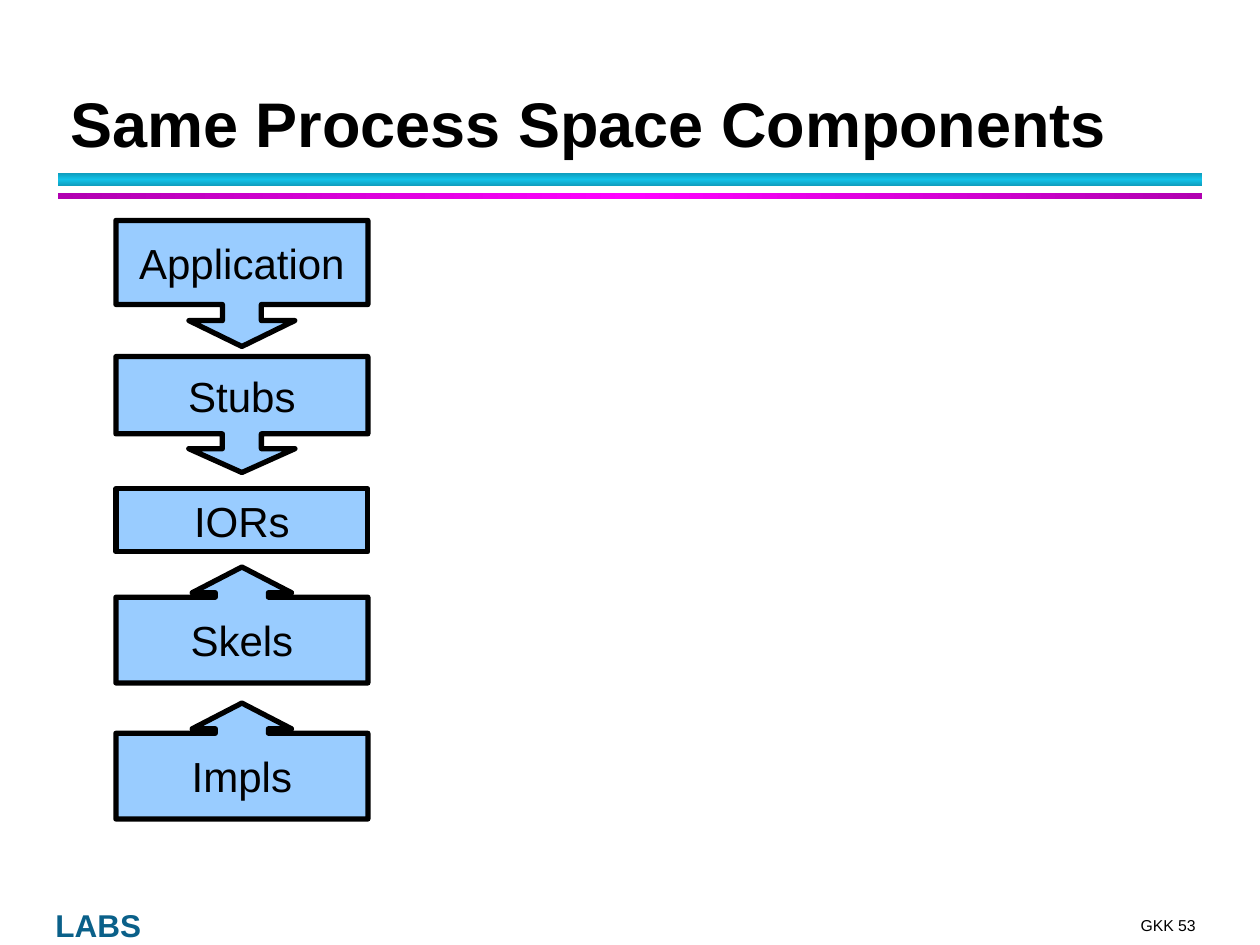
from copy import deepcopy
from dataclasses import dataclass

from pptx import Presentation
from pptx.dml.color import RGBColor
from pptx.enum.shapes import MSO_SHAPE as Shape
from pptx.enum.text import MSO_ANCHOR as Anchor, PP_ALIGN as Align
from pptx.oxml.ns import qn
from pptx.util import Inches, Pt

COLORS = {
    "black": "000000",
    "box": "99CCFF",
    "footer": "0A6089",
    "teal": "0E9AB9",
    "cyan": "12C2E9",
    "purple": "B100B1",
    "magenta": "FF00FF",
}
FONT = "Arial"
BOX_LEFT, BOX_WIDTH = 0.92, 2
RULE_LEFT, RULE_WIDTH = 0.46, 9.08
UP_ADJ = (0.458, 0.428, 0.222, 0.739)


@dataclass(frozen=True)
class Layer:
    label: str
    top: float
    height: float
    kind: Shape
    adj: tuple[float, ...] = ()


@dataclass(frozen=True)
class Rule:
    top: float
    height: float
    edge: str
    middle: str
    angle: int


@dataclass(frozen=True)
class Label:
    text: str
    box: tuple[float, float, float, float]
    size: int
    color: str = "black"
    bold: bool = False
    align: Align = Align.LEFT
    inset: tuple[float, float] = (0, 0)


LAYERS = [
    Layer("Application", 1.75, 1, Shape.DOWN_ARROW_CALLOUT, (0.309, 0.42, 0.205, 0.667)),
    Layer("Stubs", 2.83, 0.92, Shape.DOWN_ARROW_CALLOUT, (0.337, 0.458, 0.205, 0.667)),
    Layer("Skels", 4.5, 0.92, Shape.UP_ARROW_CALLOUT, UP_ADJ),
    Layer("IORs", 3.88, 0.5, Shape.RECTANGLE),
    Layer("Impls", 5.58, 0.92, Shape.UP_ARROW_CALLOUT, UP_ADJ),
]
RULES = [
    Rule(1.37, 0.11, "teal", "cyan", 90),
    Rule(1.53, 0.05, "purple", "magenta", 0),
]
LABELS = [
    Label("GKK 53", (8.76, 7.27, 0.73, 0.15), 9, align=Align.RIGHT),
    Label("LABS", (0.44, 7.21, 0.77, 0.28), 18, "footer", True),
    Label("Same Process Space Components", (0.46, 0.33, 9.06, 0.99), 36,
          bold=True, inset=(0.1, 0.05)),
]


def rgb(name: str) -> RGBColor:
    """Return the named colour."""
    return RGBColor.from_string(COLORS[name])


def add_text(tf, text: str, size: int, color: str, bold: bool, align: Align) -> None:
    """Write one styled run into the first paragraph."""
    p = tf.paragraphs[0]
    p.alignment = align
    r = p.add_run()
    r.text = text
    r.font.name = FONT
    r.font.size = Pt(size)
    r.font.bold = bold
    r.font.color.rgb = rgb(color)


def draw_label(slide, label: Label) -> None:
    """Draw a bottom-anchored text box."""
    tf = slide.shapes.add_textbox(*map(Inches, label.box)).text_frame
    tf.word_wrap = True
    tf.vertical_anchor = Anchor.BOTTOM
    tf.margin_left = tf.margin_right = Inches(label.inset[0])
    tf.margin_top = tf.margin_bottom = Inches(label.inset[1])
    add_text(tf, label.text, label.size, label.color, label.bold, label.align)


def draw_rule(slide, rule: Rule) -> None:
    """Draw a bar whose gradient is symmetric about its middle."""
    s = slide.shapes.add_shape(Shape.RECTANGLE, Inches(RULE_LEFT), Inches(rule.top),
                               Inches(RULE_WIDTH), Inches(rule.height))
    s.shadow.inherit = False
    s.line.fill.background()
    s.fill.gradient()
    s.fill.gradient_angle = rule.angle
    stops = s._element.spPr.find(qn("a:gradFill")).find(qn("a:gsLst"))
    stops.append(deepcopy(stops[0]))
    names = (rule.edge, rule.middle, rule.edge)
    for i, (stop, name) in enumerate(zip(s.fill.gradient_stops, names)):
        stop.position = i / 2
        stop.color.rgb = rgb(name)


def draw_layer(slide, layer: Layer) -> None:
    """Draw one layer of the component stack."""
    s = slide.shapes.add_shape(layer.kind, Inches(BOX_LEFT), Inches(layer.top),
                               Inches(BOX_WIDTH), Inches(layer.height))
    s.shadow.inherit = False
    for i, value in enumerate(layer.adj):
        s.adjustments[i] = value
    s.fill.solid()
    s.fill.fore_color.rgb = rgb("box")
    s.line.color.rgb = rgb("black")
    s.line.width = Pt(3)
    tf = s.text_frame
    tf.word_wrap = False
    tf.vertical_anchor = Anchor.MIDDLE
    add_text(tf, layer.label, 24, "black", False, Align.CENTER)


def main() -> None:
    """Build and save the slide."""
    prs = Presentation()
    prs.slide_width, prs.slide_height = Inches(10), Inches(7.5)
    slide = prs.slides.add_slide(prs.slide_layouts[6])
    for rule in RULES:
        draw_rule(slide, rule)
    for label in LABELS:
        draw_label(slide, label)
    for layer in LAYERS:
        draw_layer(slide, layer)
    prs.save("out.pptx")


if __name__ == "__main__":
    main()
